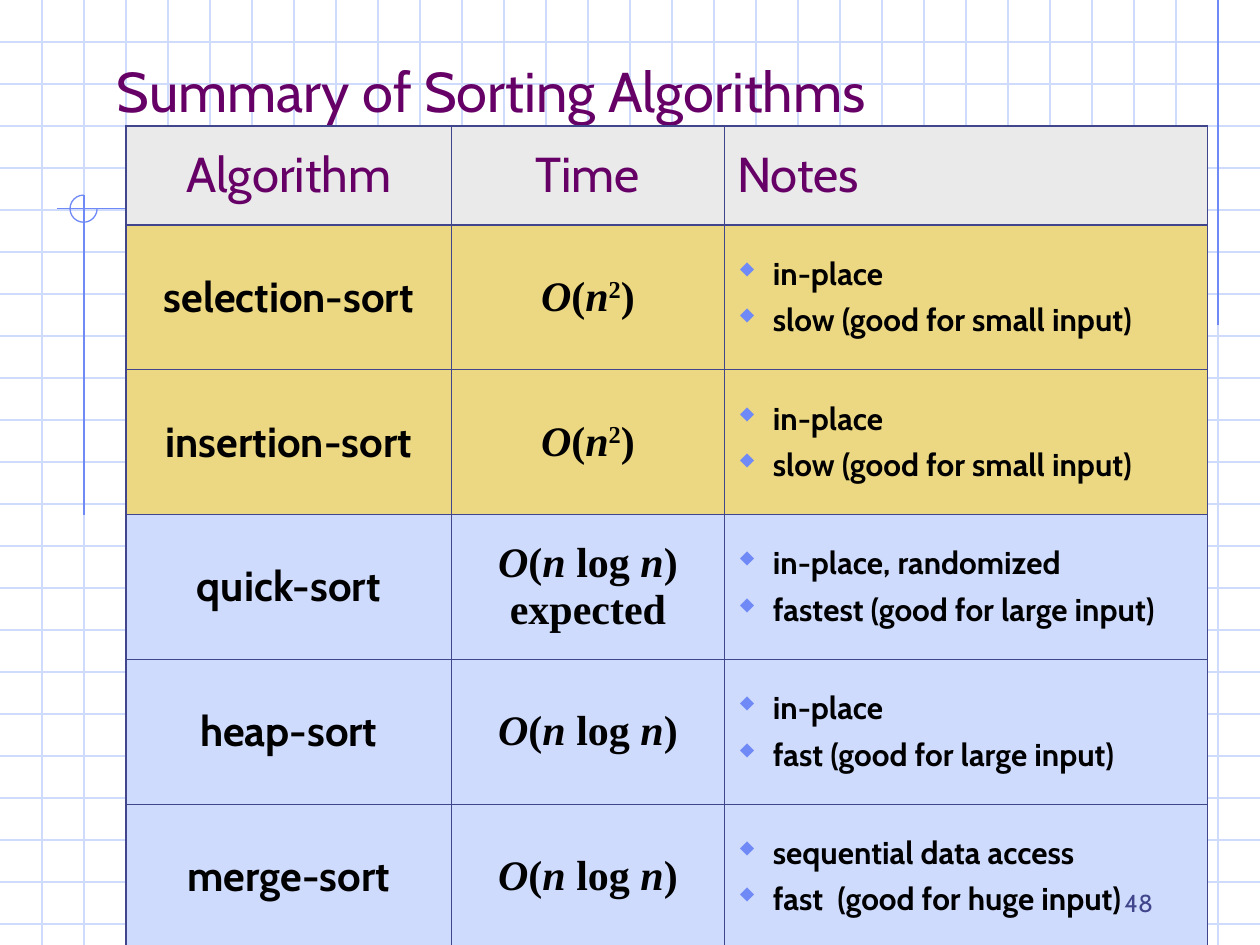
from lxml.etree import SubElement
from pptx import Presentation
from pptx.dml.color import RGBColor
from pptx.enum.shapes import MSO_CONNECTOR, MSO_SHAPE
from pptx.enum.text import MSO_ANCHOR, MSO_AUTO_SIZE, PP_ALIGN
from pptx.oxml.ns import qn
from pptx.util import Pt

WIDTH, HEIGHT, GRID_STEP = 720, 540, 24
PALE_BLUE, BLUE, NAVY = "CFDBFD", "6F89F7", "40458C"
PURPLE, BLACK, GREY, YELLOW = "660066", "000000", "EAEAEA", "ECD882"
THIN, THICK = 0.45, 1.08
DIAMOND_FONT, DIAMOND = "Wingdings", "w"

TITLE_FORMAT = {"name": "Cabin", "size": Pt(32), "bold": False}
HEADER_FORMAT = {**TITLE_FORMAT, "size": Pt(28)}
NAME_FORMAT = {"name": "Cabin", "size": Pt(24), "bold": True}
TIME_FORMAT = {**NAME_FORMAT, "name": "Times New Roman"}
NOTE_FORMAT = {**NAME_FORMAT, "size": Pt(18)}
NUMBER_FORMAT = {**TITLE_FORMAT, "size": Pt(14)}

COLUMN_WIDTHS = [186, 156, 276]
ROW_HEIGHTS = [56.5] + [82.75] * 5
HEADERS = [
    ("Algorithm", PP_ALIGN.CENTER),
    ("Time", PP_ALIGN.CENTER),
    ("Notes", PP_ALIGN.LEFT),
]
QUADRATIC = [("O", "italic"), ("(", ""), ("n", "italic"), ("2", "super"), (")", "")]
LOGLINEAR = [("O", "italic"), ("(", ""), ("n", "italic"), (" log ", ""),
             ("n", "italic"), (")", "")]
EXPECTED = LOGLINEAR + [("", "break"), ("expected", "")]
ALGORITHMS = [
    ("selection-sort", QUADRATIC, ["in-place", "slow (good for small input)"], YELLOW),
    ("insertion-sort", QUADRATIC, ["in-place", "slow (good for small input)"], YELLOW),
    ("quick-sort", EXPECTED,
     ["in-place, randomized", "fastest (good for large input)"], PALE_BLUE),
    ("heap-sort", LOGLINEAR, ["in-place", "fast (good for large input)"], PALE_BLUE),
    ("merge-sort", LOGLINEAR,
     ["sequential data access", "fast  (good for huge input)"], PALE_BLUE),
]


def color(value):
    """Turn a hex string into a colour."""
    return RGBColor.from_string(value)


def add_run(paragraph, text, values, text_color):
    """Append a formatted run to a paragraph."""
    run = paragraph.add_run()
    run.text = text
    for name, value in values.items():
        setattr(run.font, name, value)
    run.font.color.rgb = color(text_color)
    return run


def add_line(slide, start, end, line_color):
    """Draw a straight line between two points."""
    line = slide.shapes.add_connector(
        MSO_CONNECTOR.STRAIGHT, *(Pt(value) for value in start + end))
    line.line.color.rgb = color(line_color)
    line.line.width = Pt(0.75)
    SubElement(line.element.spPr, qn("a:effectLst"))


def add_background(slide):
    """Draw the squared paper and the blue ornament on it."""
    for y in range(GRID_STEP, HEIGHT, GRID_STEP):
        add_line(slide, (0, y), (WIDTH, y), PALE_BLUE)
    for x in range(GRID_STEP, WIDTH, GRID_STEP):
        add_line(slide, (x, 0), (x, HEIGHT), PALE_BLUE)
    add_line(slide, (696, 0), (696, 186), BLUE)
    add_line(slide, (173, 119.25), (32.5, 119.25), BLUE)
    add_line(slide, (48, 111.5), (48, 294.5), BLUE)
    arc = slide.shapes.add_shape(MSO_SHAPE.ARC, Pt(40), Pt(111.5), Pt(15.5), Pt(15.5))
    arc.adjustments[0], arc.adjustments[1] = 0, 162
    arc.shadow.inherit = False
    arc.fill.background()
    arc.line.color.rgb = color(BLUE)
    arc.line.width = Pt(0.75)


def set_frame(shape, alignment):
    """Anchor text at the bottom of a shape and return its paragraph."""
    frame = shape.text_frame
    values = {"word_wrap": True, "auto_size": MSO_AUTO_SIZE.NONE,
              "vertical_anchor": MSO_ANCHOR.BOTTOM}
    for name, value in values.items():
        setattr(frame, name, value)
    frame.paragraphs[0].alignment = alignment
    return frame.paragraphs[0]


def add_title(slide, text):
    """Fill the title placeholder and bring it in front of the grid."""
    title = slide.shapes.title
    box = {"left": 59.5, "top": 26.5, "width": 600, "height": 48}
    for name, value in box.items():
        setattr(title, name, Pt(value))
    add_run(set_frame(title, PP_ALIGN.LEFT), text, TITLE_FORMAT, PURPLE)
    slide.shapes.element.append(title.element)


def add_slide_number(slide, text):
    """Write the slide number at the lower right."""
    box = slide.shapes.add_textbox(Pt(516), Pt(492), Pt(150), Pt(36))
    add_run(set_frame(box, PP_ALIGN.RIGHT), text, NUMBER_FORMAT, NAVY)


def style_cell(cell, fill, thick_sides):
    """Give a cell its borders, fill and anchor."""
    properties = cell._tc.get_or_add_tcPr()
    for side in "LRTB":
        width = THICK if side in thick_sides else THIN
        border = SubElement(properties, qn(f"a:ln{side}"), w=str(Pt(width)))
        solid = SubElement(border, qn("a:solidFill"))
        SubElement(solid, qn("a:srgbClr"), val=NAVY)
    cell.fill.solid()
    cell.fill.fore_color.rgb = color(fill)
    cell.vertical_anchor = MSO_ANCHOR.MIDDLE


def fill_plain(cell, text, values, text_color, alignment=PP_ALIGN.CENTER):
    """Write one line of text in a cell."""
    paragraph = cell.text_frame.paragraphs[0]
    paragraph.alignment = alignment
    add_run(paragraph, text, values, text_color)


def fill_time(cell, parts):
    """Write a running time with italics and superscripts."""
    paragraph = cell.text_frame.paragraphs[0]
    paragraph.alignment = PP_ALIGN.CENTER
    for text, style in parts:
        if style == "break":
            paragraph.add_line_break()
            continue
        values = {**TIME_FORMAT, "italic": style == "italic"}
        run = add_run(paragraph, text, values, BLACK)
        if style == "super":
            run._r.get_or_add_rPr().set("baseline", "30000")


def fill_notes(cell, notes):
    """Write a list with diamond bullets in a cell."""
    frame = cell.text_frame
    for index, note in enumerate(notes):
        paragraph = frame.add_paragraph() if index else frame.paragraphs[0]
        paragraph.space_before = Pt(4.5 if index else 0)
        properties = paragraph._p.get_or_add_pPr()
        properties.set("marL", str(Pt(20.5)))
        properties.set("indent", str(Pt(-20.5)))
        bullet_color = SubElement(properties, qn("a:buClr"))
        SubElement(bullet_color, qn("a:srgbClr"), val=BLUE)
        SubElement(properties, qn("a:buSzPct"), val="110000")
        SubElement(properties, qn("a:buFont"), typeface=DIAMOND_FONT, charset="2")
        SubElement(properties, qn("a:buChar"), char=DIAMOND)
        add_run(paragraph, note, NOTE_FORMAT, BLACK)


def add_summary_table(slide):
    """Build the table that compares the algorithms."""
    table = slide.shapes.add_table(
        len(ROW_HEIGHTS), len(COLUMN_WIDTHS), Pt(72), Pt(72),
        Pt(sum(COLUMN_WIDTHS)), Pt(sum(ROW_HEIGHTS))).table
    table.first_row = table.horz_banding = False
    for column, width in zip(table.columns, COLUMN_WIDTHS):
        column.width = Pt(width)
    for row, height in zip(table.rows, ROW_HEIGHTS):
        row.height = Pt(height)

    fills = [GREY] + [algorithm[-1] for algorithm in ALGORITHMS]
    for row_index, fill in enumerate(fills):
        row_sides = {0: "TB", 1: "T", len(fills) - 1: "B"}.get(row_index, "")
        for column_index, column_side in enumerate(["L", "", "R"]):
            style_cell(table.cell(row_index, column_index), fill, row_sides + column_side)

    for index, (text, alignment) in enumerate(HEADERS):
        fill_plain(table.cell(0, index), text, HEADER_FORMAT, PURPLE, alignment)
    for index, (name, time, notes, _) in enumerate(ALGORITHMS, start=1):
        fill_plain(table.cell(index, 0), name, NAME_FORMAT, BLACK)
        fill_time(table.cell(index, 1), time)
        fill_notes(table.cell(index, 2), notes)


def main():
    """Build the slide and save the presentation."""
    presentation = Presentation()
    presentation.slide_width, presentation.slide_height = Pt(WIDTH), Pt(HEIGHT)
    slide = presentation.slides.add_slide(presentation.slide_layouts[5])
    add_background(slide)
    add_title(slide, "Summary of Sorting Algorithms")
    add_summary_table(slide)
    add_slide_number(slide, "48")
    presentation.save("out.pptx")


if __name__ == "__main__":
    main()
